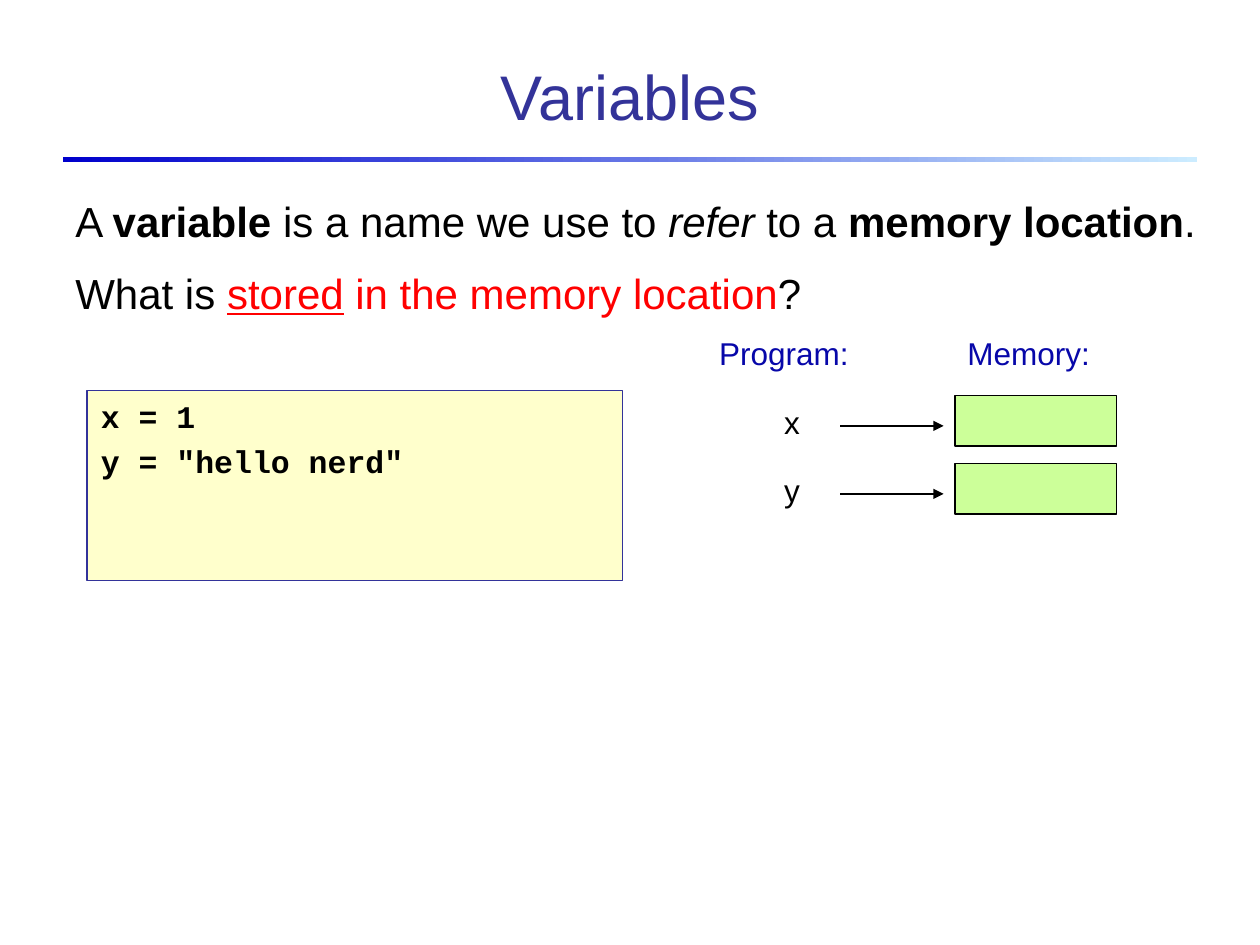
from lxml.etree import SubElement as Sub
from pptx import Presentation
from pptx.dml.color import RGBColor as Rgb
from pptx.enum.shapes import MSO_CONNECTOR as Conn, MSO_SHAPE as Kind
from pptx.enum.text import MSO_ANCHOR as Anchor, PP_ALIGN as Align
from pptx.oxml.ns import qn
from pptx.util import Inches, Pt

HUES = {
    "title": "333399", "head": "0707A9", "ink": "000000", "key": "FF0000",
    "code": "FFFFCC", "cell": "CCFF99", "deep": "0000CC", "pale": "CCECFF",
}


def hue(name):
    return Rgb.from_string(HUES[name])


def write(frame, paras, size=18, font="Arial", color="ink", bold=False,
          align=Align.LEFT, gap=0):
    """Fill a frame; each paragraph is a string or a list of (text, format)."""
    for i, runs in enumerate(paras):
        para = frame.paragraphs[0] if i == 0 else frame.add_paragraph()
        para.alignment = align
        para.space_before = Pt(gap)
        for text, form in [(runs, {})] if isinstance(runs, str) else runs:
            run = para.add_run()
            run.text = text
            face = run.font
            face.size, face.name = Pt(size), font
            face.bold = form.get("bold", bold)
            face.italic = form.get("italic", False)
            face.underline = form.get("line", False)
            face.color.rgb = hue(form.get("color", color))


class Page:
    """Holds the slide and the line style."""

    def __init__(self, slide, width=0.75):
        self.shapes = slide.shapes
        self.width = Pt(width)

    def text(self, box, paras, anchor=Anchor.TOP, wrap=True, **form):
        frame = self.shapes.add_textbox(*map(Inches, box)).text_frame
        frame.word_wrap = wrap
        frame.vertical_anchor = anchor
        write(frame, paras, **form)

    def rect(self, box, fill, edge="ink"):
        shape = self.shapes.add_shape(Kind.RECTANGLE, *map(Inches, box))
        shape.shadow.inherit = False
        shape.fill.solid()
        shape.fill.fore_color.rgb = hue(fill)
        shape.line.color.rgb = hue(edge)
        shape.line.width = self.width
        return shape

    def rule(self, box, start, end):
        shape = self.shapes.add_shape(Kind.RECTANGLE, *map(Inches, box))
        shape.shadow.inherit = False
        shape.line.fill.background()
        shape.fill.gradient()
        shape.fill.gradient_angle = 0
        for stop, name in zip(shape.fill.gradient_stops, (start, end)):
            stop.color.rgb = hue(name)

    def arrow(self, left, right, y):
        line = self.shapes.add_connector(
            Conn.STRAIGHT, Inches(left), Inches(y), Inches(right), Inches(y))
        line.line.color.rgb = hue("ink")
        line.line.width = self.width
        Sub(line.line._get_or_add_ln(), qn("a:tailEnd"), type="triangle")
        Sub(line._element.spPr, qn("a:effectLst"))


def main():
    deck = Presentation()
    deck.slide_width, deck.slide_height = Inches(10), Inches(7.5)
    page = Page(deck.slides.add_slide(deck.slide_layouts[6]))

    # Title and rule
    page.rule((0.5, 1.25, 9, 0.04), "deep", "pale")
    page.text((0.67, 0.28, 8.66, 0.95), ["Variables"], anchor=Anchor.MIDDLE,
              size=36, color="title", align=Align.CENTER)

    # Statement and question
    bold = {"bold": True}
    page.text((0.5, 1.5, 9.2, 1.08), [
        [("A ", {}), ("variable", bold), (" is a name we use to ", {}),
         ("refer", {"italic": True}), (" to a ", {}),
         ("memory location", bold), (".", {})],
        [("What is ", {}), ("stored", {"color": "key", "line": True}),
         (" in the memory location", {"color": "key"}), ("?", {})],
    ], size=24, gap=12.5)

    # Code panel
    frame = page.rect((0.69, 3.1, 4.25, 1.51), "code", "title").text_frame
    frame.margin_left = Inches(0.11)
    frame.vertical_anchor = Anchor.TOP
    frame.word_wrap = True
    write(frame, ["x = 1", 'y = "hello nerd"'], font="Courier New",
          bold=True, gap=4.5)

    # Column heads
    for left, head in ((5.61, "Program:"), (7.58, "Memory:")):
        page.text((left, 2.6, 1.27, 0.4), [head], color="head")

    # Each name points at its memory cell
    for i, name in enumerate(("x ", "y ")):
        top = 3.14 + 0.54 * i
        page.rect((7.58, top, 1.28, 0.4), "cell")
        page.text((6.09, top + 0.01, 0.39, 0.4), [name], wrap=False,
                  align=Align.CENTER)
        page.arrow(6.67, 7.49, top + 0.24)

    deck.save("out.pptx")


if __name__ == "__main__":
    main()
